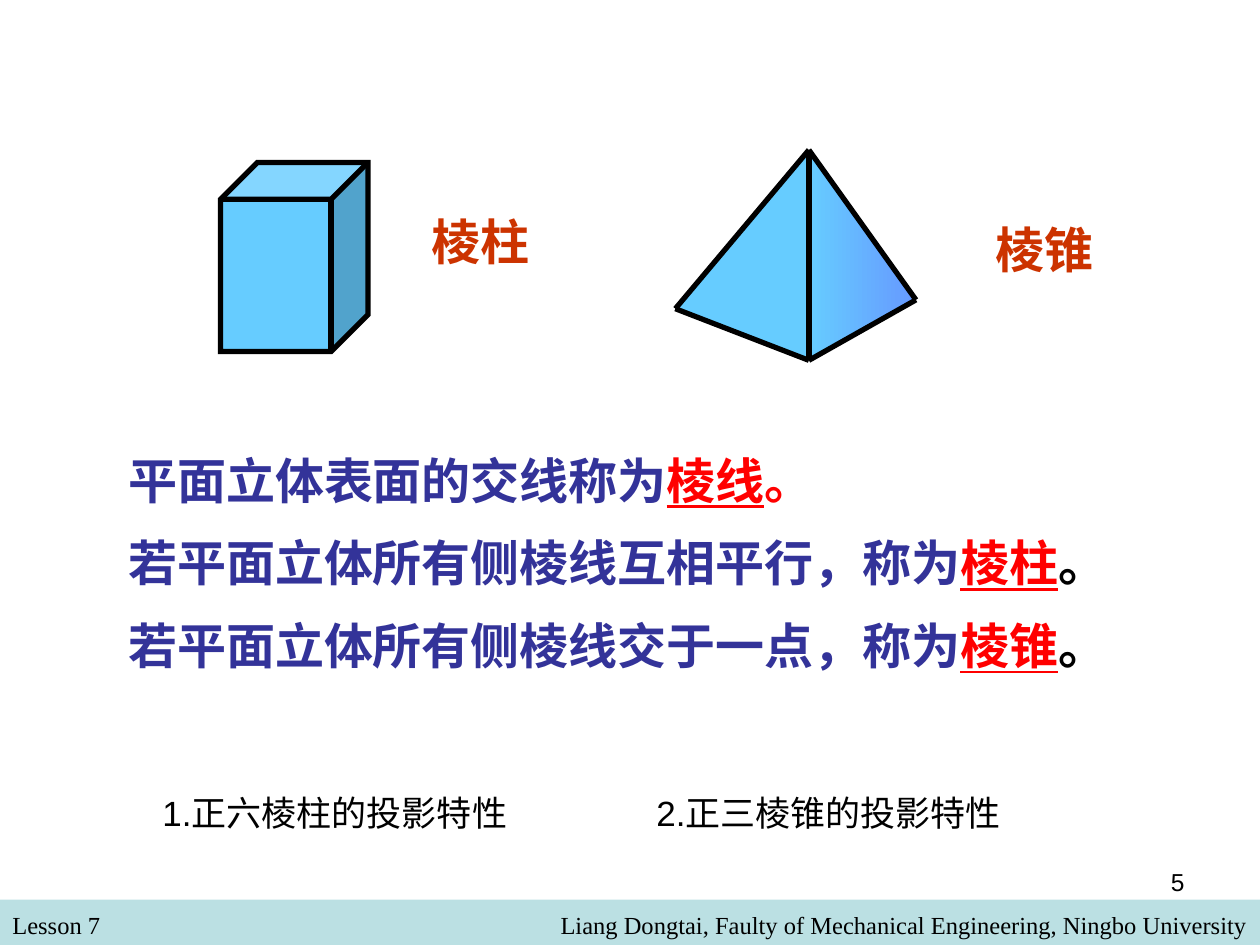
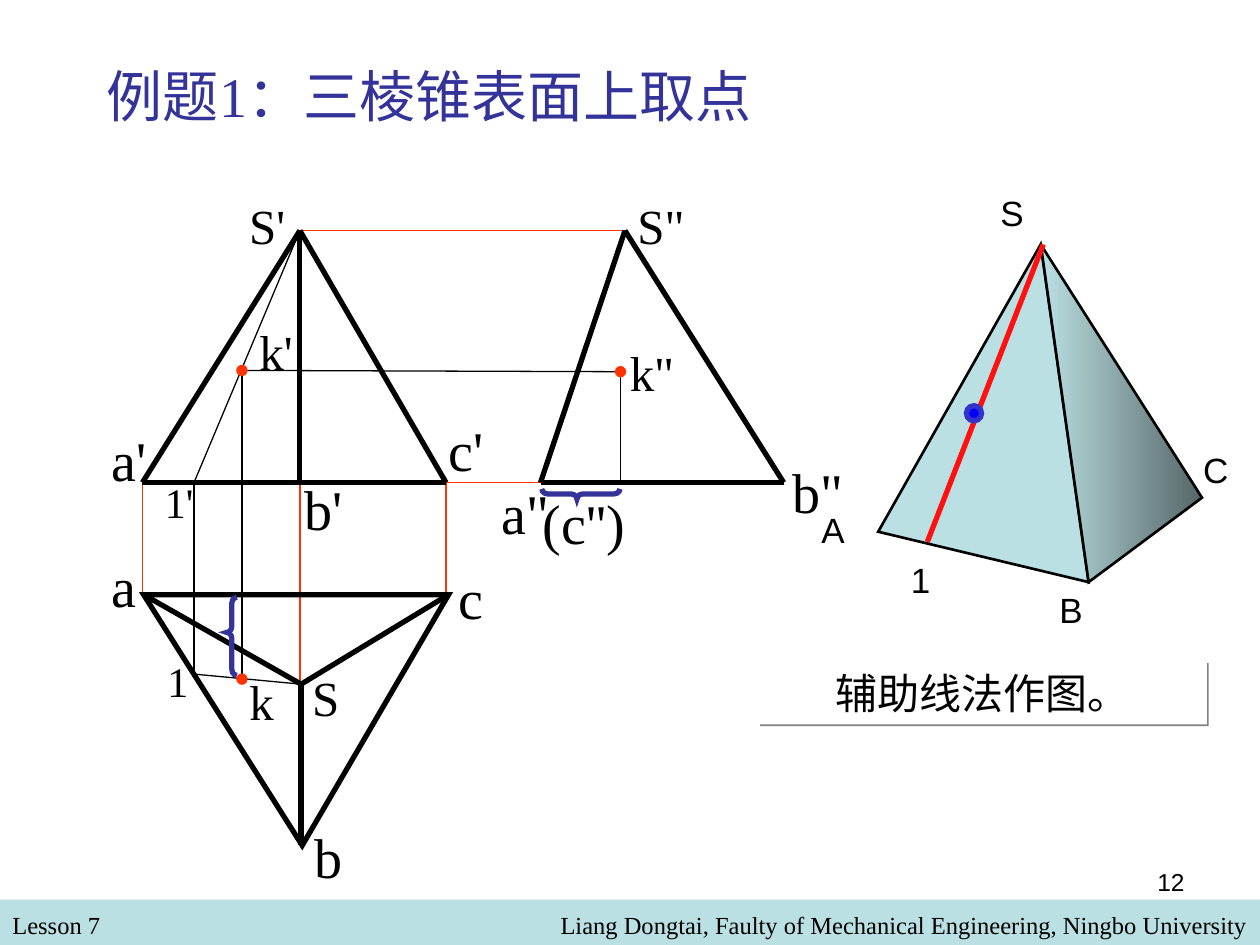
import dataclasses
import typing

import lxml.etree
import pptx
import pptx.dml.color
import pptx.enum.shapes
import pptx.enum.text
import pptx.oxml.ns
import pptx.shapes.autoshape
import pptx.slide
import pptx.util

COLS, ROWS = 100, 75
UNIT = pptx.util.Inches(10) // COLS
KIND = pptx.enum.shapes.MSO_SHAPE
ALIGN = pptx.enum.text.PP_ALIGN
Shape = pptx.shapes.autoshape.Shape
Slide = pptx.slide.Slide


@dataclasses.dataclass(frozen=True)
class Theme:
    serif: str = "Times New Roman"
    sans: str = "Arial"
    han: str = "Noto Sans CJK SC"
    black: str = "000000"
    white: str = "FFFFFF"
    band: str = "BBE0E3"
    navy: str = "333399"
    red: str = "FF0000"
    rust: str = "CC3300"
    guide: str = "FF3300"
    ray: str = "FF1111"
    sky: str = "66CCFF"
    dusk: str = "6699FF"
    slate: str = "566768"
    blue: str = "0000FF"
    rim: str = "3333CC"
    shade: str = "808080"
    small: float = 14
    note: float = 20
    mid: float = 24
    large: float = 28
    head: float = 32
    thin: float = 0.75
    edge: float = 1.5
    bold: float = 3


T = Theme()


class Spot(typing.NamedTuple):
    x: float
    y: float


class Box(typing.NamedTuple):
    x: float
    y: float
    w: float
    h: float


class Span(typing.NamedTuple):
    text: str
    tint: str
    under: bool = False


class Label(typing.NamedTuple):
    text: str
    box: Box
    size: float
    face: str = T.serif
    tint: str = T.black
    strong: bool = False
    align: typing.Any = ALIGN.LEFT


class Edge(typing.NamedTuple):
    start: Spot
    end: Spot
    width: float = T.bold
    tint: str = T.black


def grid(*spans: float) -> list[int]:
    return [round(span * UNIT) for span in spans]


def color(code: str) -> pptx.dml.color.RGBColor:
    return pptx.dml.color.RGBColor.from_string(code)


def child(node: typing.Any, tag: str, **keys: str) -> typing.Any:
    return lxml.etree.SubElement(node, pptx.oxml.ns.qn(tag), **keys)


def style(run: typing.Any, size: float, face: str, tint: str,
          strong: bool = False, under: bool = False) -> None:
    font = run.font
    font.size = pptx.util.Pt(size)
    font.name = face
    font.bold = strong
    font.underline = under
    font.color.rgb = color(tint)
    child(run._r.get_or_add_rPr(), "a:ea", typeface=T.han)


def fill(frame: typing.Any, label: Label) -> None:
    frame.word_wrap = True
    frame.text = label.text
    para = frame.paragraphs[0]
    para.alignment = label.align
    for run in para.runs:
        style(run, label.size, label.face, label.tint, label.strong)


def write(slide: Slide, label: Label) -> typing.Any:
    frame = slide.shapes.add_textbox(*grid(*label.box)).text_frame
    fill(frame, label)
    return frame


def paint(shape: Shape, tint: str | None, rim: str | None, width: float) -> Shape:
    shape.shadow.inherit = False
    if tint:
        shape.fill.solid()
        shape.fill.fore_color.rgb = color(tint)
    else:
        shape.fill.background()
    if rim:
        shape.line.color.rgb = color(rim)
        shape.line.width = pptx.util.Pt(width)
        child(shape._element.spPr.find(pptx.oxml.ns.qn("a:ln")), "a:miter", lim="800000")
    else:
        shape.line.fill.background()
    return shape


def form(slide: Slide, kind: typing.Any, box: Box, tint: str | None = None,
         rim: str | None = None, width: float = T.bold) -> Shape:
    return paint(slide.shapes.add_shape(kind, *grid(*box)), tint, rim, width)


def face(slide: Slide, spots: list[Spot], tint: str, dark: str | None = None,
         rim: str | None = None) -> None:
    first, *rest = [grid(*spot) for spot in spots]
    maker = slide.shapes.build_freeform(*first)
    maker.add_line_segments(rest, close=True)
    shape = paint(maker.convert_to_shape(), tint, rim, T.edge)
    if dark:
        shape.fill.gradient()
        shape.fill.gradient_angle = 180
        for stop, code in zip(shape.fill.gradient_stops, (dark, tint)):
            stop.color.rgb = color(code)


def link(slide: Slide, edge: Edge) -> None:
    kind = pptx.enum.shapes.MSO_CONNECTOR.STRAIGHT
    line = slide.shapes.add_connector(kind, *grid(*edge.start, *edge.end))
    line.line.color.rgb = color(edge.tint)
    line.line.width = pptx.util.Pt(edge.width)
    child(line._element.spPr, "a:effectLst")


def chain(slide: Slide, *spots: Spot, width: float = T.bold, tint: str = T.black) -> None:
    for start, end in zip(spots, spots[1:]):
        link(slide, Edge(start, end, width, tint))


def dot(slide: Slide, spot: Spot, size: float, tint: str, rim: str, width: float) -> None:
    box = Box(spot.x - size / 2, spot.y - size / 2, size, size)
    form(slide, KIND.OVAL, box, tint, rim, width)


def brace(slide: Slide, box: Box, turn: float) -> None:
    shape = form(slide, KIND.LEFT_BRACE, box, None, T.navy)
    shape.adjustments[0], shape.adjustments[1] = 0.6, 0.45
    shape.rotation = turn


def base(deck: typing.Any, page: str) -> Slide:
    slide = deck.slides.add_slide(deck.slide_layouts[6])
    form(slide, KIND.RECTANGLE, Box(0, 71.4, COLS, 3.6), T.band)
    author = "Liang Dongtai, Faulty of Mechanical Engineering, Ningbo University"
    for label in (
        Label("Lesson 7", Box(0, 71.7, 48.3, 3.4), T.small),
        Label(author, Box(18.3, 71.7, 81.7, 3.4), T.small, align=ALIGN.RIGHT),
        Label(page, Box(71.7, 68.3, 23.3, 5.2), T.small, T.sans, align=ALIGN.RIGHT),
    ):
        write(slide, label)
    return slide


def solids(deck: typing.Any) -> None:
    slide = base(deck, "5")
    form(slide, KIND.CUBE, Box(17.5, 12.9, 11.7, 15), T.sky, T.black)
    apex, left, foot, right = Spot(64.2, 11.9), Spot(53.6, 24.5), Spot(64.2, 28.6), Spot(72.7, 23.8)
    face(slide, [apex, foot, right], T.sky, T.dusk)
    face(slide, [apex, left, foot], T.sky)
    chain(slide, apex, left, foot, apex, right, foot)
    for text, box in (("棱柱", Box(33.3, 16.3, 12.1, 5.7)), ("棱锥", Box(78, 16.9, 10.4, 5.7))):
        write(slide, Label(text, box, T.large, T.han, T.rust, True))

    rows = [
        [Span("平面立体表面的交线称为", T.navy), Span("棱线", T.red, True), Span("。", T.red)],
        [Span("若平面立体所有侧棱线互相平行，称为", T.navy), Span("棱柱", T.red, True), Span("。", T.black)],
        [Span("若平面立体所有侧棱线交于一点，称为", T.navy), Span("棱锥", T.red, True), Span("。", T.black)],
    ]
    frame = slide.shapes.add_textbox(*grid(9.2, 34.3, 83.8, 19.8)).text_frame
    frame.word_wrap = True
    for place, row in enumerate(rows):
        para = frame.add_paragraph() if place else frame.paragraphs[0]
        para.line_spacing = 1.2
        if place:
            para.space_before = pptx.util.Pt(7)
        for span in row:
            run = para.add_run()
            run.text = span.text
            style(run, T.large, T.han, span.tint, True, span.under)

    text = "1.正六棱柱的投影特性\t2.正三棱锥的投影特性"
    frame = write(slide, Label(text, Box(11.9, 62.3, 74.8, 4.4), T.note, T.sans))
    tabs = child(frame.paragraphs[0]._p.get_or_add_pPr(), "a:tabLst")
    child(tabs, "a:tab", pos=str(grid(39.2)[0]), algn="l")


def views(slide: Slide) -> None:
    top, floor = 18.3, 38.3
    s1, a1, b1, c1 = Spot(23.8, top), Spot(11.3, floor), Spot(23.8, floor), Spot(35.4, floor)
    s2, a2, b2 = Spot(49.6, top), Spot(42.9, floor), Spot(62.2, floor)
    s, a, b, c = Spot(23.9, 54.3), Spot(11.4, 47.2), Spot(23.9, 67.1), Spot(35.6, 47.2)
    m1, m = Spot(15.4, floor), Spot(15.4, 53.5)
    k1, k2, k = Spot(19.2, 29.4), Spot(49.25, 29.5), Spot(19.2, 53.9)

    for start, end in ((Spot(a1.x, a.y), a1), (Spot(c1.x, c.y), c1), (c1, a2),
                       (s1, s2), (Spot(b1.x, s.y), b1)):
        chain(slide, start, end, width=T.thin, tint=T.guide)
    chain(slide, a1, c1, s1, a1)
    chain(slide, s1, b1)
    chain(slide, a2, b2, s2, a2)
    plan = form(slide, KIND.ISOSCELES_TRIANGLE, Box(a.x, a.y, c.x - a.x, b.y - a.y), None, T.black)
    plan.adjustments[0] = 0.48
    plan.rotation = 180
    for end in (a, b, c):
        chain(slide, s, end)
    chain(slide, s1, m1, m, s, width=T.thin)
    chain(slide, k, k1, k2, Spot(k2.x, floor), width=T.thin)
    brace(slide, Box(18, 47.4, 0.8, 6.2), 0)
    brace(slide, Box(45.7, 36.1, 0.8, 6.2), 270)
    for spot in (k, k1, k2):
        dot(slide, spot, 0.8, T.guide, T.guide, T.thin)

    slack = 0.5
    marks = {
        T.head: (6.4, [("a'", 7.9, 33.3, 4.8), ('a"', 38.8, 37.5, 5.8), ("b'", 23.2, 37.2, 5),
                       ('b"', 61.9, 35.8, 6), ("c'", 34.6, 32.5, 4.8), ("(c'')", 42.1, 38.3, 9.2),
                       ("a", 7.9, 43.3, 4), ("b", 24, 64.8, 4.2), ("c", 35.4, 44.2, 4)]),
        T.large: (5.7, [("S", 23.8, 52.5, 4.1), ("S'", 18.8, 15, 4.8), ('S"', 49.6, 15, 5.7),
                        ("k'", 19.6, 25, 4.6), ("k", 18.8, 52.8, 4), ('k"', 49, 26.7, 5.5)]),
        T.mid: (5, [("1'", 12.1, 37.3, 4.2), ("1", 12.3, 51.5, 3.6)]),
    }
    for size, (high, names) in marks.items():
        for text, x, y, wide in names:
            write(slide, Label(text, Box(x, y, wide + slack, high), size))


def model(slide: Slide) -> None:
    s, a, b, c = Spot(82.6, 19.4), Spot(69.7, 42.2), Spot(86.4, 46.2), Spot(95.4, 39.5)
    face(slide, [s, a, b], T.band, rim=T.black)
    face(slide, [s, c, b], T.band, T.slate, T.black)
    link(slide, Edge(Spot(82.8, 19.4), Spot(73.6, 43), tint=T.ray))
    dot(slide, Spot(77.3, 32.8), 1.2, T.blue, T.rim, T.bold)
    for text, x, y in (("S", 78.4, 14.7), ("A", 64.2, 39.9), ("B", 83.1, 46.2),
                       ("C", 94.5, 35.1), ("1", 71.3, 43.8)):
        write(slide, Label(text, Box(x, y, 5.5, 4.4), T.note, T.sans))


def points(deck: typing.Any) -> None:
    slide = base(deck, "12")
    views(slide)
    write(slide, Label("例题1：三棱锥表面上取点", Box(7.5, 4.4, 54, 11.7), T.head, tint=T.navy))
    model(slide)
    box = Box(60.2, 52.5, 35.6, 5)
    card = form(slide, KIND.RECTANGLE, box, T.white)
    glow = child(card._element.spPr.find(pptx.oxml.ns.qn("a:effectLst")), "a:outerShdw",
                 dist=str(pptx.util.Pt(1.4)), dir="2700000", algn="ctr", rotWithShape="0")
    child(glow, "a:srgbClr", val=T.shade)
    fill(card.text_frame, Label("辅助线法作图。", box, T.mid, align=ALIGN.CENTER))


def main() -> None:
    deck = pptx.Presentation()
    deck.slide_width, deck.slide_height = grid(COLS, ROWS)
    solids(deck)
    points(deck)
    deck.save("out.pptx")


if __name__ == "__main__":
    main()
